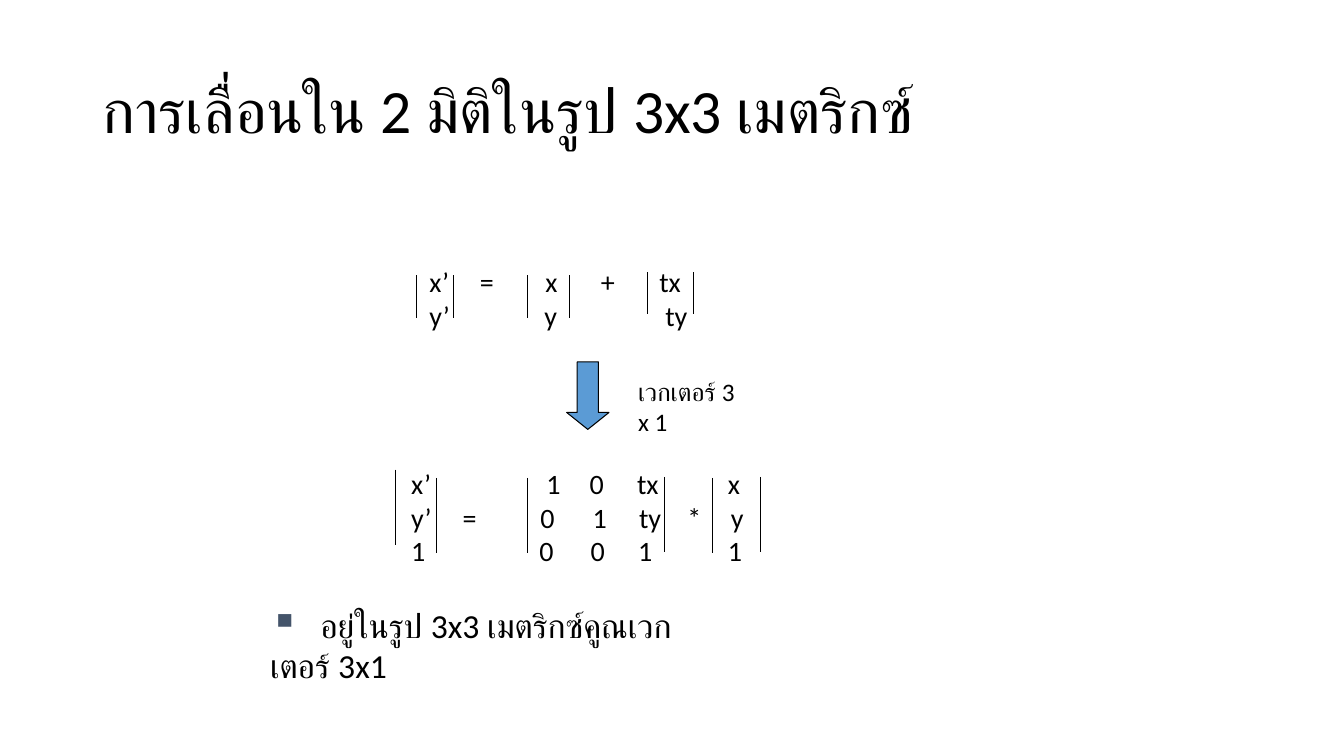
from lxml.etree import SubElement
from pptx import Presentation
from pptx.dml.color import RGBColor
from pptx.enum.shapes import MSO_CONNECTOR, MSO_SHAPE
from pptx.enum.text import MSO_ANCHOR
from pptx.oxml.ns import qn
from pptx.util import Inches, Pt

BLACK = RGBColor(0x00, 0x00, 0x00)
BLUE = RGBColor(0x5B, 0x9B, 0xD5)
SLATE = RGBColor(0x44, 0x54, 0x6A)


class MatrixSlide:
    font = "Calibri"
    line_width = Pt(0.75)

    def __init__(self, presentation):
        self.slide = presentation.slides.add_slide(presentation.slide_layouts[6])

    def text(self, content, left, top, width, height, size, wrap=True):
        box = self.slide.shapes.add_textbox(
            Inches(left), Inches(top), Inches(width), Inches(height))
        frame = box.text_frame
        frame.word_wrap = wrap
        frame.text = content
        for paragraph in frame.paragraphs:
            for run in paragraph.runs:
                run.font.name = self.font
                run.font.size = Pt(size)
                run.font.color.rgb = BLACK
        return frame

    def title(self, content, left, top, width, height):
        frame = self.text(content, left, top, width, height, 44)
        frame.vertical_anchor = MSO_ANCHOR.MIDDLE
        frame.paragraphs[0].line_spacing = 0.9

    def tabs(self, paragraph, stops):
        tab_list = SubElement(paragraph._p.get_or_add_pPr(), qn("a:tabLst"))
        for stop in stops:
            SubElement(tab_list, qn("a:tab"), pos=str(Inches(stop)), algn="l")

    def equation(self, rows, left, top, width, height):
        content = "\n".join(row for row, stops in rows)
        frame = self.text(content, left, top, width, height, 20, wrap=False)
        for paragraph, (row, stops) in zip(frame.paragraphs, rows):
            self.tabs(paragraph, stops)

    def bullet(self, content, left, top, width, height):
        paragraph = self.text("\t" + content, left, top, width, height, 24).paragraphs[0]
        properties = paragraph._p.get_or_add_pPr()
        properties.set("marL", "0")
        properties.set("indent", "0")
        SubElement(SubElement(properties, qn("a:buClr")), qn("a:srgbClr"), val=str(SLATE))
        SubElement(properties, qn("a:buSzPct"), val="117000")
        SubElement(properties, qn("a:buChar"), char="▪")
        self.tabs(paragraph, [0.28])

    def bars(self, positions, length):
        for x, top in positions:
            bar = self.slide.shapes.add_connector(
                MSO_CONNECTOR.STRAIGHT,
                Inches(x), Inches(top), Inches(x), Inches(top + length))
            bar.line.color.rgb = BLACK
            bar.line.width = self.line_width
            SubElement(bar._element.spPr, qn("a:effectLst"))

    def down_arrow(self, left, top, width, height):
        arrow = self.slide.shapes.add_shape(
            MSO_SHAPE.DOWN_ARROW,
            Inches(left), Inches(top), Inches(width), Inches(height))
        arrow.shadow.inherit = False
        arrow.adjustments[0] = 0.5
        arrow.adjustments[1] = 0.4
        arrow.fill.solid()
        arrow.fill.fore_color.rgb = BLUE
        arrow.line.color.rgb = BLACK
        arrow.line.width = self.line_width


def main():
    presentation = Presentation()
    presentation.slide_width = Inches(13.33)
    presentation.slide_height = Inches(7.5)
    slide = MatrixSlide(presentation)

    slide.title("การเลื่อนใน 2 มิติในรูป 3x3 เมตริกซ์", 0.92, 0.4, 11.5, 1.45)

    slide.equation([
        ("\tx’\t=\tx\t+\ttx", [0.57, 1.07, 1.72, 2.27, 2.85]),
        ("\ty’\ty\tty", [0.57, 1.71, 2.91]),
    ], 3.59, 2.58, 3.38, 0.77)
    slide.bars([(4.13, 2.73), (4.5, 2.73), (5.23, 2.73),
                (5.65, 2.73), (6.42, 2.7), (6.88, 2.7)], 0.42)

    slide.text("เวกเตอร์ 3 x 1", 6.23, 3.68, 1.3, 0.4, 18)

    slide.equation([
        ("x’\t1\t0\ttx\tx", [1.34, 1.77, 2.24, 3.14]),
        ("y’\t=\t0\t1\tty\t*\ty", [0.51, 1.28, 1.8, 2.26, 2.74, 3.17]),
        ("1\t0\t0\t1\t1", [1.27, 1.78, 2.25, 3.14]),
    ], 3.98, 4.58, 3.55, 1.11)
    slide.bars([(3.92, 4.66), (4.33, 4.74), (5.23, 4.74),
                (6.59, 4.73), (7.07, 4.74), (7.54, 4.73)], 0.75)

    slide.down_arrow(5.62, 3.59, 0.42, 0.67)
    slide.bullet("อยู่ในรูป 3x3 เมตริกซ์คูณเวกเตอร์ 3x1", 2.58, 5.95, 4.26, 0.5)

    presentation.save("out.pptx")


if __name__ == "__main__":
    main()
